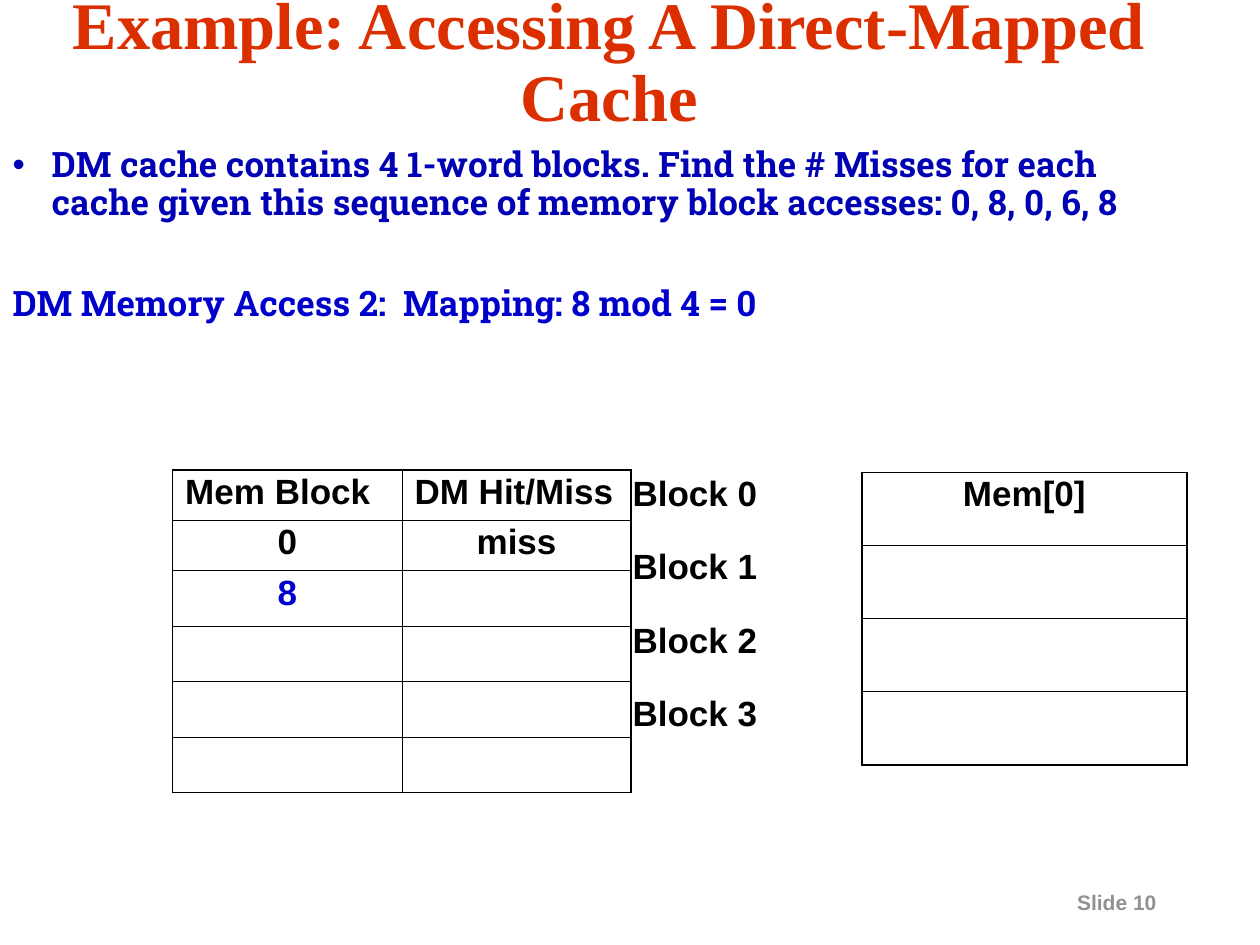
import pptx
import pptx.dml.color
import pptx.enum.text
import pptx.oxml.ns
import pptx.util
from lxml import etree
from pptx.util import Inches

RGBColor = pptx.dml.color.RGBColor
ALIGN = pptx.enum.text.PP_ALIGN
ANCHOR = pptx.enum.text.MSO_ANCHOR
qn = pptx.oxml.ns.qn

RED = RGBColor(0xDC, 0x2F, 0x00)
NAVY = RGBColor(0x00, 0x00, 0xB4)
BLUE = RGBColor(0x00, 0x00, 0xCC)
BLACK = RGBColor(0x00, 0x00, 0x00)
GRAY = RGBColor(0x91, 0x91, 0x91)
THICK, THIN = 1.08, 0.45


def write(paragraph, text, font, size, color, align=ALIGN.LEFT, spacing=0.9):
    run = paragraph.add_run()
    run.text = text
    run.font.color.rgb = color
    run_format = {"name": font, "size": pptx.util.Pt(size), "bold": True}
    for key, value in run_format.items():
        setattr(run.font, key, value)
    for key, value in {"alignment": align, "line_spacing": spacing}.items():
        setattr(paragraph, key, value)


def add_grid(left, top, widths, heights, rows, framed_from):
    """Table whose columns from framed_from on have a thick frame and thin inner lines."""
    grid = slide.shapes.add_table(len(rows), len(widths), Inches(left), Inches(top),
                                  Inches(sum(widths)), Inches(sum(heights))).table
    grid.first_row = grid.horz_banding = False
    for column, width in zip(grid.columns, widths):
        column.width = Inches(width)
    for row, height in zip(grid.rows, heights):
        row.height = Inches(height)
    last_row, last_column = len(rows) - 1, len(widths) - 1
    for r, entries in enumerate(rows):
        for c, (text, align, color) in enumerate(entries):
            cell = grid.cell(r, c)
            if text:
                write(cell.text_frame.paragraphs[0], text, "Arial", 20, color, align)
            borders = {
                "lnL": THICK if c == framed_from else THIN,
                "lnR": THICK if c == last_column or c < framed_from else THIN,
                "lnT": THICK if r == 0 else THIN,
                "lnB": THICK if r == last_row else THIN,
            }
            properties = cell._tc.get_or_add_tcPr()
            for side, width in borders.items():
                line = etree.SubElement(properties, qn("a:" + side), w=str(pptx.util.Pt(width)))
                if c < framed_from and side != "lnR":
                    etree.SubElement(line, qn("a:noFill"))
                else:
                    fill = etree.SubElement(line, qn("a:solidFill"))
                    etree.SubElement(fill, qn("a:srgbClr"), val=str(BLACK))
            cell.fill.background()


deck = pptx.Presentation()
deck.slide_width, deck.slide_height = Inches(10), Inches(7.5)
slide = deck.slides.add_slide(deck.slide_layouts[1])

# Title and body areas
title, body = slide.placeholders
areas = [(title, (0, 0.17, 9.67, 0.67), ANCHOR.MIDDLE),
         (body, (0, 1.12, 9.58, 2.63), ANCHOR.TOP)]
for area, box, anchor in areas:
    area.left, area.top, area.width, area.height = map(Inches, box)
    area.text_frame.auto_size = pptx.enum.text.MSO_AUTO_SIZE.NONE
    area.text_frame.vertical_anchor = anchor
write(title.text_frame.paragraphs[0], "Example: Accessing A Direct-Mapped Cache",
      "Times New Roman", 38, RED, ALIGN.CENTER)

# Question with a bullet, then the current access without one
question = body.text_frame.paragraphs[0]
access = body.text_frame.add_paragraph()
for paragraph in (question, access):
    properties = paragraph._p.get_or_add_pPr()
    properties.set("marL", str(Inches(0.31)))
    properties.set("indent", str(Inches(-0.31)))
    if paragraph is question:
        bullet_color = etree.SubElement(properties, qn("a:buClr"))
        etree.SubElement(bullet_color, qn("a:srgbClr"), val=str(NAVY))
        etree.SubElement(properties, qn("a:buChar"), char="•")
    else:
        etree.SubElement(properties, qn("a:buNone"))
write(question, "DM cache contains 4 1-word blocks. Find the # Misses for each cache "
      "given this sequence of memory block accesses: 0, 8, 0, 6, 8",
      "Roboto Slab", 20, NAVY)
write(access, "DM Memory Access 2:  Mapping: 8 mod 4 = 0", "Roboto Slab", 20, BLUE)
question.space_before = pptx.util.Pt(0)
access.space_before = pptx.util.Pt(36)

# Cache contents, one row per block
contents = ["Mem[0]", "", "", ""]
cache_rows = [[(f"Block {number}", ALIGN.LEFT, BLACK), (content, ALIGN.CENTER, BLACK)]
              for number, content in enumerate(contents)]
add_grid(4.92, 3.75, [1.92, 2.58], [0.58] * 4, cache_rows, framed_from=1)

# Access log with hits and misses
empty = ("", ALIGN.CENTER, BLACK)
log_rows = [
    [("Mem Block", ALIGN.LEFT, BLACK), ("DM Hit/Miss", ALIGN.LEFT, BLACK)],
    [("0", ALIGN.CENTER, BLACK), ("miss", ALIGN.CENTER, BLACK)],
    [("8", ALIGN.CENTER, BLUE), empty],
] + [[empty, empty]] * 3
add_grid(1.37, 3.73, [1.82] * 2, [0.4] * 2 + [0.44] * 4, log_rows, framed_from=0)

# Slide number
slide_number = slide.shapes.add_textbox(Inches(8.45), Inches(7.01), Inches(1.45), Inches(0.3))
slide_number.text_frame.word_wrap = True
write(slide_number.text_frame.paragraphs[0], "Slide 10", "Arial", 12, GRAY, spacing=1.0)

deck.save("out.pptx")
